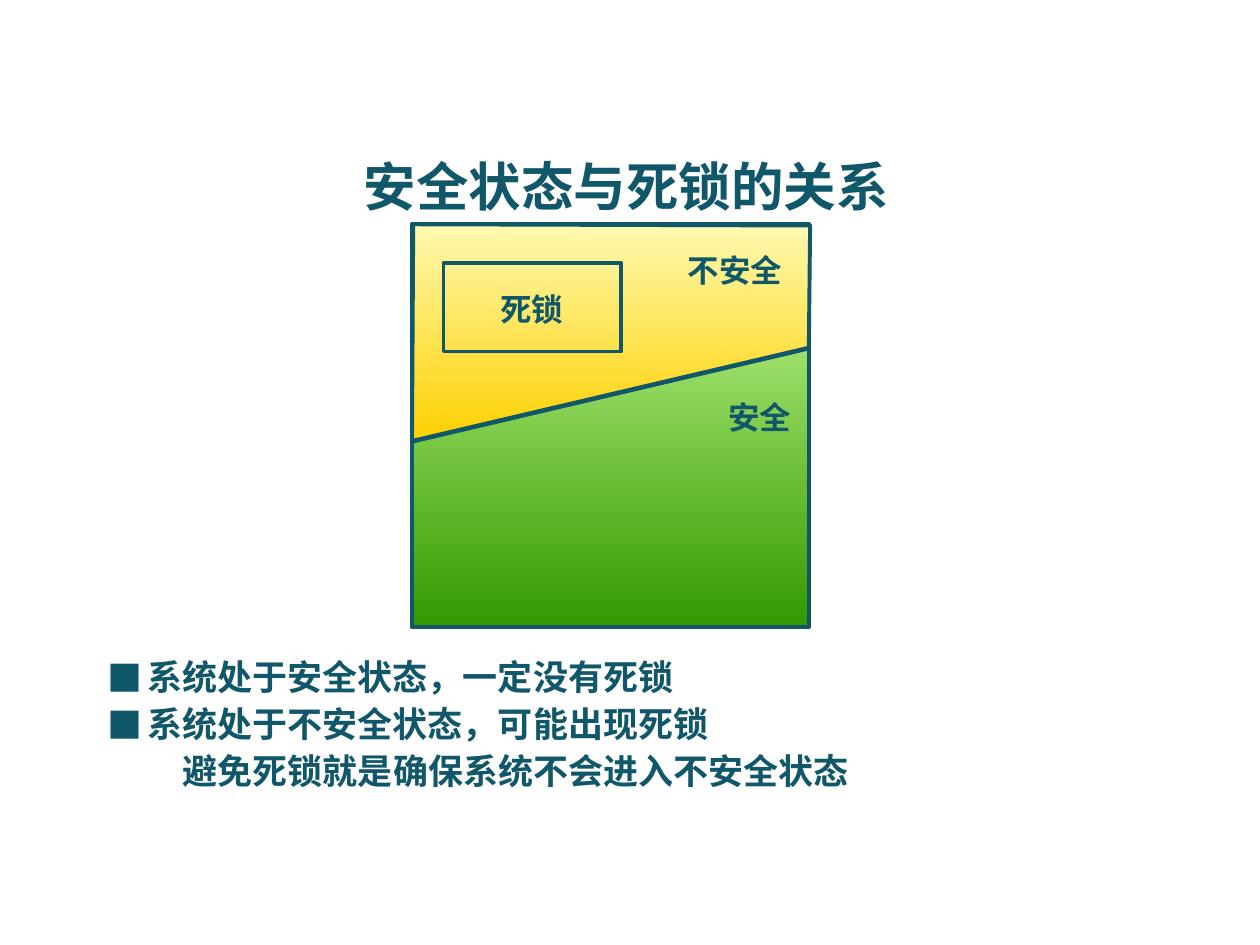
"""Build the slide on how safe states relate to deadlock."""
import pptx
import pptx.dml.color
import pptx.enum.shapes
import pptx.enum.text
import pptx.oxml.ns
import pptx.util
from lxml import etree
from pptx.util import Inches

COLORS = {
    "ink": "11576A",
    "safe_top": "CCFF99",
    "safe_bottom": "339900",
    "unsafe_top": "FFF9B1",
    "unsafe_bottom": "FDD000",
}
FONT = "Noto Sans CJK SC"
BULLET_FONT = "Noto Sans CJK JP"
qn = pptx.oxml.ns.qn


def rgb(name):
    return pptx.dml.color.RGBColor.from_string(COLORS[name])


def add_run(paragraph, text, size):
    run = paragraph.add_run()
    run.text = text
    run.font.size = pptx.util.Pt(size)
    run.font.bold = True
    run.font.color.rgb = rgb("ink")
    run.font.name = FONT
    etree.SubElement(run.font._element, qn("a:ea"), typeface=FONT)


def place(shape, left, top, width, height):
    shape.left, shape.top = Inches(left), Inches(top)
    shape.width, shape.height = Inches(width), Inches(height)


def set_indent(paragraph, margin, hanging, bullet=None):
    properties = paragraph._p.get_or_add_pPr()
    properties.set("marL", str(Inches(margin)))
    properties.set("indent", str(-Inches(hanging)))
    if bullet:
        etree.SubElement(properties, qn("a:buFont"), typeface=BULLET_FONT)
        etree.SubElement(properties, qn("a:buChar"), char=bullet)
    else:
        etree.SubElement(properties, qn("a:buNone"))


def add_title(slide, text):
    title = slide.shapes.title
    place(title, 0.47, 1.19, 9, 0.56)
    paragraph = title.text_frame.paragraphs[0]
    paragraph.alignment = pptx.enum.text.PP_ALIGN.CENTER
    add_run(paragraph, text, 30)


def add_conclusions(slide, conclusions):
    body = slide.placeholders[1]
    place(body, 0.75, 5.11, 6.4, 1.25)
    frame = body.text_frame
    frame.auto_size = pptx.enum.text.MSO_AUTO_SIZE.NONE
    for index, (text, level) in enumerate(conclusions):
        paragraph = frame.add_paragraph() if index else frame.paragraphs[0]
        paragraph.level = level
        if level:
            set_indent(paragraph, 0.6, 0)
        else:
            set_indent(paragraph, 0.32, 0.32, "■")
        paragraph.space_before = pptx.util.Pt(0)
        paragraph.line_spacing = pptx.util.Pt(27)
        add_run(paragraph, text, 20)


def style_region(region, gradient=None):
    region.shadow.inherit = False
    region.line.color.rgb = rgb("ink")
    region.line.width = pptx.util.Pt(2.25)
    if gradient is None:
        region.fill.background()
        return
    region.fill.gradient()
    region.fill.gradient_angle = 270
    for stop, position, color in zip(region.fill.gradient_stops, (0, 1), gradient):
        stop.position = position
        stop.color.rgb = rgb(color)


def add_box(slide, bounds, gradient=None):
    box = slide.shapes.add_shape(
        pptx.enum.shapes.MSO_SHAPE.RECTANGLE, *map(Inches, bounds))
    style_region(box, gradient)


def add_polygon(slide, corners, gradient):
    start, *others = [(Inches(x), Inches(y)) for x, y in corners]
    builder = slide.shapes.build_freeform(*start)
    builder.add_line_segments(others, close=True)
    style_region(builder.convert_to_shape(), gradient)


def add_boundary(slide, start, end):
    boundary = slide.shapes.add_connector(
        pptx.enum.shapes.MSO_CONNECTOR.STRAIGHT, *map(Inches, start + end))
    boundary.line.color.rgb = rgb("ink")
    boundary.line.width = pptx.util.Pt(3)
    etree.SubElement(boundary._element.spPr, qn("a:effectLst"))


def add_label(slide, text, left, top, width):
    label = slide.shapes.add_textbox(*map(Inches, (left, top, width, 0.4)))
    label.text_frame.word_wrap = False
    add_run(label.text_frame.paragraphs[0], text, 18)


def main():
    presentation = pptx.Presentation()
    presentation.slide_width = Inches(10)
    presentation.slide_height = Inches(7.5)
    slide = presentation.slides.add_slide(presentation.slide_layouts[1])

    add_title(slide, "安全状态与死锁的关系")
    add_conclusions(slide, [
        ("系统处于安全状态，一定没有死锁", 0),
        ("系统处于不安全状态，可能出现死锁", 0),
        ("避免死锁就是确保系统不会进入不安全状态", 1),
    ])

    boundary_left, boundary_right = (3.27, 3.5), (6.42, 2.76)
    add_box(slide, (3.27, 1.78, 3.15, 3.2), ("safe_top", "safe_bottom"))
    add_boundary(slide, boundary_left, boundary_right)
    add_polygon(slide, [(3.28, 1.78), (6.43, 1.79), boundary_right, boundary_left],
                ("unsafe_top", "unsafe_bottom"))
    add_box(slide, (3.52, 2.09, 1.41, 0.7))

    add_label(slide, "死锁", 3.87, 2.25, 0.71)
    add_label(slide, "不安全", 5.36, 1.94, 0.97)
    add_label(slide, "安全", 5.68, 3.11, 0.72)
    presentation.save("out.pptx")


if __name__ == "__main__":
    main()
